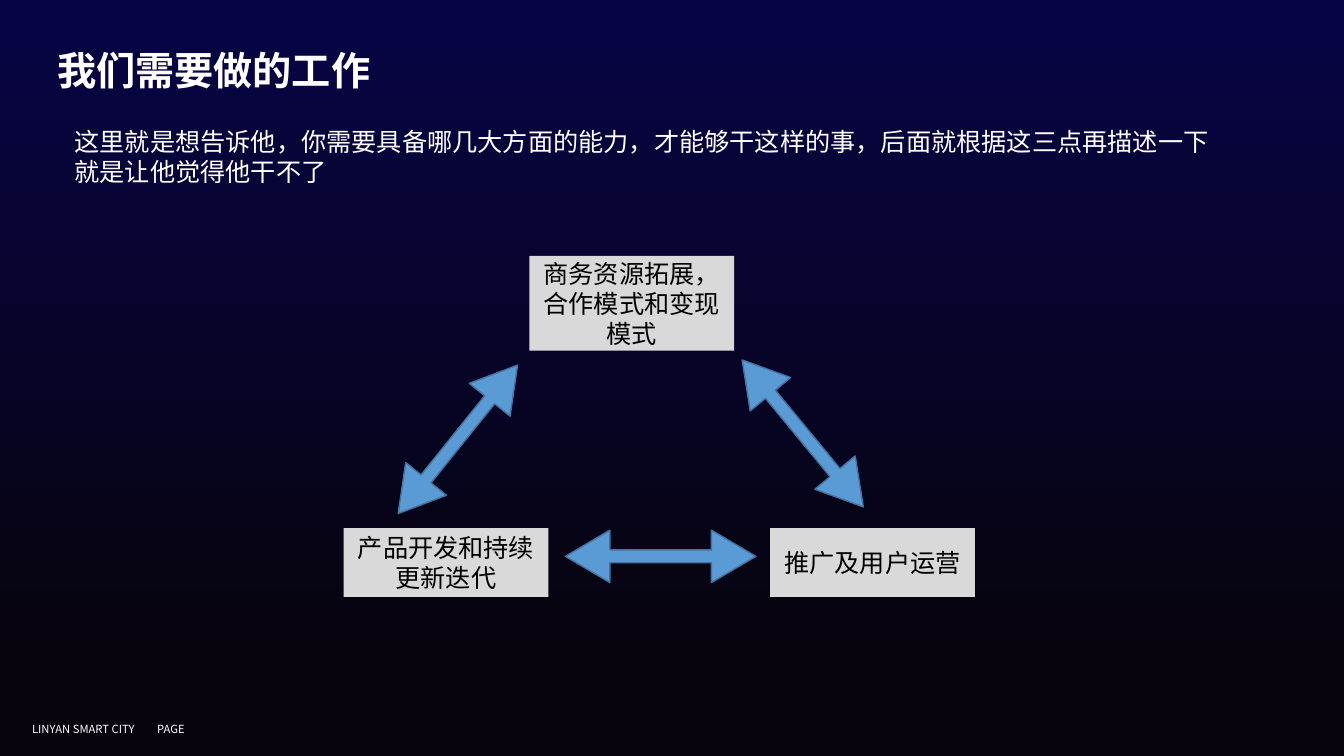
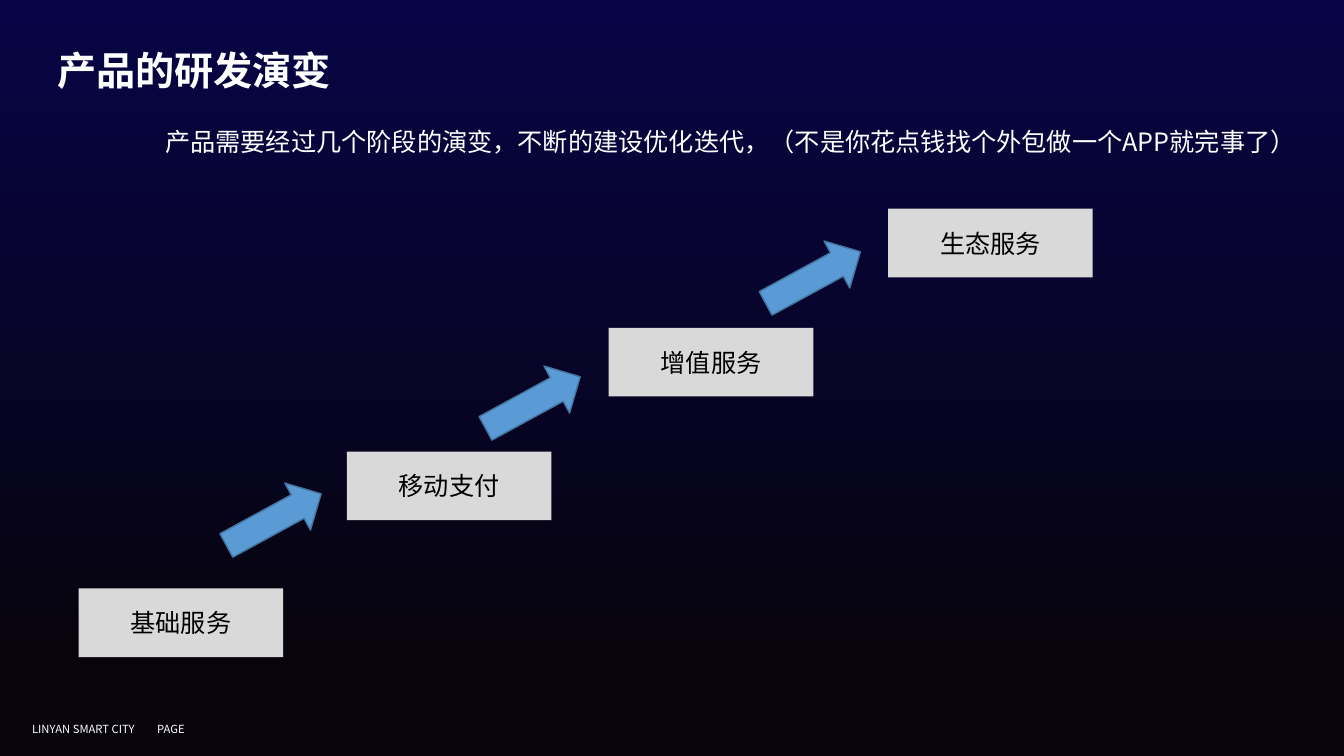
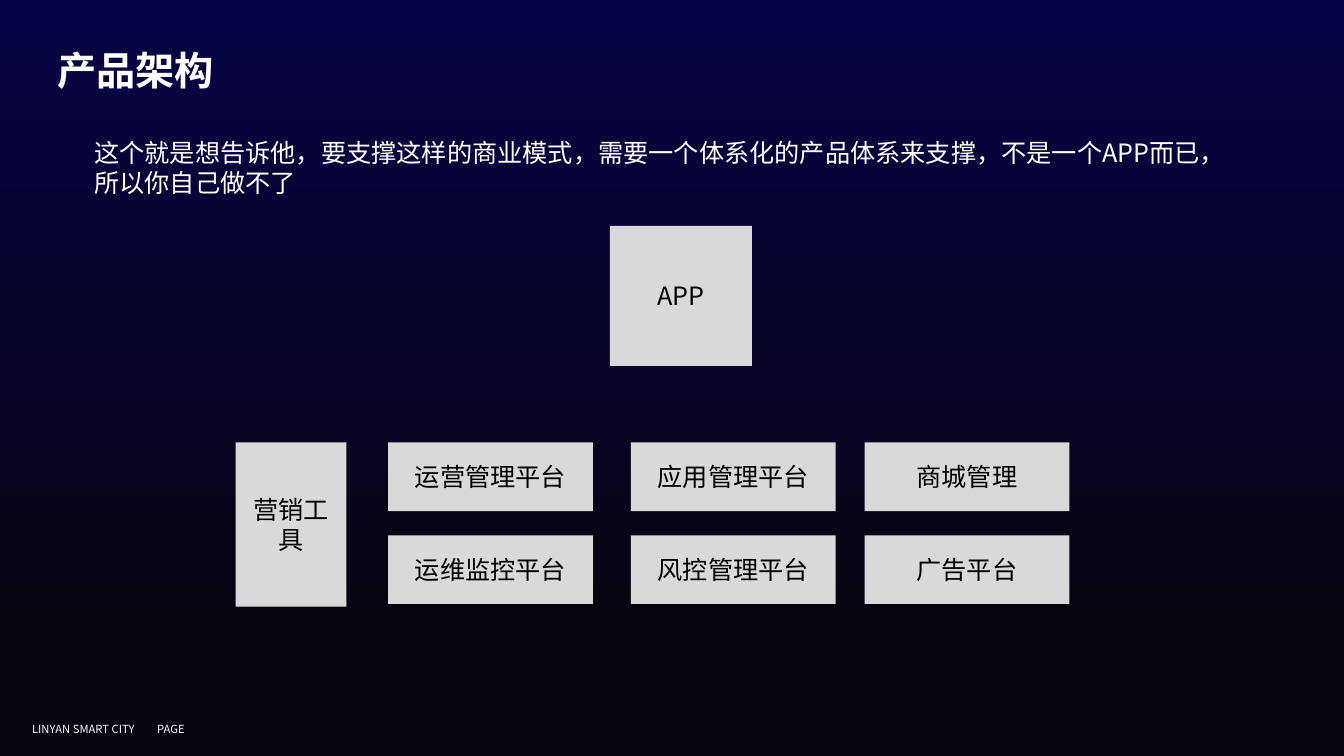
from dataclasses import dataclass

from lxml import etree
from pptx import Presentation
from pptx.dml.color import RGBColor
from pptx.enum.shapes import MSO_SHAPE
from pptx.enum.text import MSO_ANCHOR, PP_ALIGN
from pptx.oxml.ns import qn
from pptx.util import Cm, Pt

RECT = MSO_SHAPE.RECTANGLE
RIGHT = MSO_SHAPE.RIGHT_ARROW
BOTH = MSO_SHAPE.LEFT_RIGHT_ARROW
CENTER = PP_ALIGN.CENTER
MIDDLE = MSO_ANCHOR.MIDDLE


@dataclass(frozen=True)
class Theme:
    font: str = "Noto Sans CJK SC"
    white: str = "FFFFFF"
    black: str = "000000"
    top: str = "070446"
    base: str = "07040E"
    box: str = "D9D9D9"
    arrow: str = "5B9BD5"
    edge: str = "43739E"
    title: int = 28
    body: int = 18
    foot: int = 8
    lead: float = 1.2


THEME = Theme()
BOX_W, BOX_H = 5.16, 1.73


def rgb(code):
    return RGBColor.from_string(code)


def style(frame, size, color, bold=False, align=None):
    for para in frame.paragraphs:
        para.alignment = align
        para.line_spacing = Pt(size * THEME.lead)
        for run in para.runs:
            font = run.font
            font.name, font.size, font.bold = THEME.font, Pt(size), bold
            font.color.rgb = rgb(color)
            east = etree.SubElement(run._r.get_or_add_rPr(), qn("a:ea"))
            east.set("typeface", THEME.font)


def add_text(slide, text, x, y, w, h, size, bold=False, wrap=True):
    frame = slide.shapes.add_textbox(Cm(x), Cm(y), Cm(w), Cm(h)).text_frame
    frame.word_wrap = wrap
    frame.text = text
    style(frame, size, THEME.white, bold)


def add_form(slide, kind, x, y, w, h, fill):
    form = slide.shapes.add_shape(kind, Cm(x), Cm(y), Cm(w), Cm(h))
    form.shadow.inherit = False
    form.fill.solid()
    form.fill.fore_color.rgb = rgb(fill)
    return form


def add_box(slide, text, x, y, w=BOX_W, h=BOX_H):
    box = add_form(slide, RECT, x, y, w, h, THEME.box)
    box.line.fill.background()
    frame = box.text_frame
    frame.word_wrap = True
    frame.vertical_anchor = MIDDLE
    frame.text = text
    style(frame, THEME.body, THEME.black, align=CENTER)


def add_arrow(slide, kind, x, y, w, h, turn=0, adjust=()):
    arrow = add_form(slide, kind, x, y, w, h, THEME.arrow)
    arrow.line.color.rgb = rgb(THEME.edge)
    arrow.line.width = Pt(1)
    arrow.rotation = turn
    for index, value in enumerate(adjust):
        arrow.adjustments[index] = value


def set_back(master):
    fill = master.background.fill
    fill.gradient()
    fill.gradient_angle = 270
    stops = ((0, THEME.top), (0.87, THEME.base))
    for stop, (place, color) in zip(fill.gradient_stops, stops):
        stop.position = place
        stop.color.rgb = rgb(color)


def add_slide(deck, title, intro, x, y, w=30):
    """Add a slide with footer, title and an intro text at x, y."""
    slide = deck.slides.add_slide(deck.slide_layouts[6])
    for text, left, wide in (("LINYAN SMART CITY", 0.56, 3.43), ("PAGE", 3.71, 1.37)):
        add_text(slide, text, left, 18.08, wide, 0.61, THEME.foot, wrap=False)
    add_text(slide, title, 1.19, 1.04, 13.74, 1.63, THEME.title, bold=True)
    add_text(slide, intro, x, y, w, 1.8, THEME.body)
    return slide


def add_work(deck):
    slide = add_slide(
        deck, "我们需要做的工作",
        "这里就是想告诉他，你需要具备哪几大方面的能力，才能够干这样的事，后面就根据这三点再描述一下\n"
        "就是让他觉得他干不了", 1.63, 3.05)
    add_box(slide, "产品开发和持续更新迭代", 8.66, 13.31)
    add_box(slide, "推广及用户运营", 19.41, 13.31)
    add_box(slide, "商务资源拓展，合作模式和变现模式", 13.34, 6.45, h=2.39)
    for x, y, turn in ((9.14, 10.41, 308.8), (14.25, 13.36, 0), (17.83, 10.26, 230.5)):
        add_arrow(slide, BOTH, x, y, 4.8, 1.32, turn, (0.244, 0.849))


def add_stages(deck):
    slide = add_slide(
        deck, "产品的研发演变",
        "产品需要经过几个阶段的演变，不断的建设优化迭代，（不是你花点钱找个外包做一个APP就完事了）",
        3.91, 3.05, 29.16)
    stages = (("基础服务", 1.98, 14.83), ("移动支付", 8.74, 11.38),
              ("增值服务", 15.34, 8.26), ("生态服务", 22.38, 5.26))
    for name, x, y in stages:
        add_box(slide, name, x, y)
    for x, y in ((5.54, 12.42), (12.07, 9.47), (19.13, 6.32)):
        add_arrow(slide, RIGHT, x, y, 2.72, 1.35, 331.4)


def add_system(deck):
    slide = add_slide(
        deck, "产品架构",
        "这个就是想告诉他，要支撑这样的商业模式，需要一个体系化的产品体系来支撑，不是一个APP而已，\n"
        "所以你自己做不了", 2.13, 3.33)
    add_box(slide, "APP", 15.37, 5.69, 3.58, 3.53)
    add_box(slide, "营销工具", 5.94, 11.15, 2.79, 4.14)
    rows = ((11.15, ("运营管理平台", "应用管理平台", "商城管理")),
            (13.49, ("运维监控平台", "风控管理平台", "广告平台")))
    for y, names in rows:
        for x, name in zip((9.78, 15.9, 21.79), names):
            add_box(slide, name, x, y)


def main():
    deck = Presentation()
    deck.slide_width, deck.slide_height = Cm(33.87), Cm(19.05)
    set_back(deck.slide_master)
    add_work(deck)
    add_stages(deck)
    add_system(deck)
    deck.save("out.pptx")


if __name__ == "__main__":
    main()
